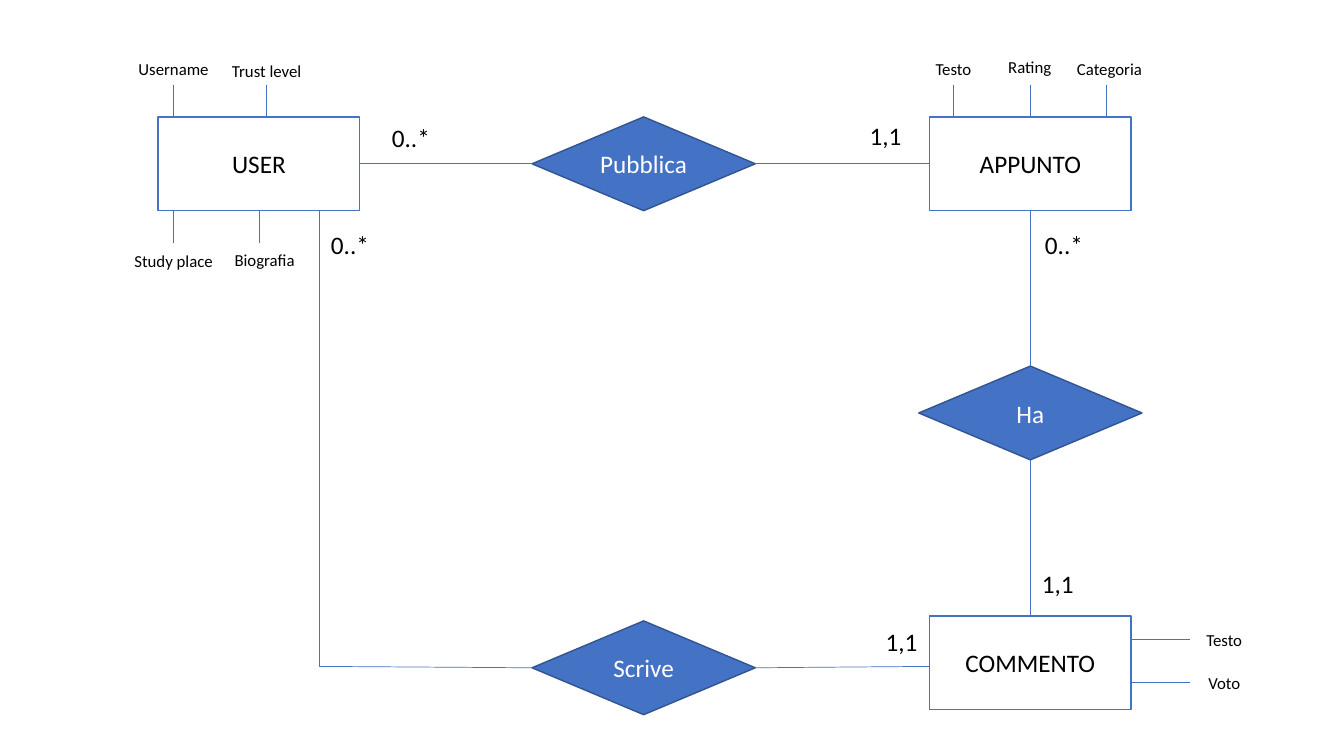
from lxml import etree
from pptx import Presentation
from pptx.dml.color import RGBColor
from pptx.enum import shapes, text
from pptx.oxml import ns
from pptx.util import Pt

BLUE, DARK_BLUE, WHITE, BLACK = "4472C4", "325491", "FFFFFF", "000000"
TOP, RIGHT, BOTTOM, LEFT = 0, 3, 2, 1


def colour(value):
    return RGBColor.from_string(value)


class Diagram:
    """Holds the style and the current slide of an entity-relationship diagram."""

    font = "Calibri"
    height = 67
    tick = 23

    def __init__(self, slide):
        self.slide = slide

    def set_text(self, shape, words, size, ink):
        frame = shape.text_frame
        frame.text = words
        frame.vertical_anchor = text.MSO_ANCHOR.MIDDLE
        frame.margin_left = frame.margin_right = 0
        frame.margin_top = frame.margin_bottom = 0
        frame.word_wrap = True
        paragraph = frame.paragraphs[0]
        paragraph.alignment = text.PP_ALIGN.CENTER
        paragraph.font.name = self.font
        paragraph.font.size = Pt(size)
        paragraph.font.color.rgb = colour(ink)

    def node(self, kind, words, left, top, width, fill, line, ink):
        shape = self.slide.shapes.add_shape(
            kind, Pt(left), Pt(top), Pt(width), Pt(self.height))
        shape.shadow.inherit = False
        shape.fill.solid()
        shape.fill.fore_color.rgb = colour(fill)
        shape.line.color.rgb = colour(line)
        shape.line.width = Pt(1)
        self.set_text(shape, words, 18, ink)
        return shape

    def entity(self, words, left, top):
        return self.node(shapes.MSO_SHAPE.RECTANGLE, words, left, top, 144,
                         WHITE, BLUE, BLACK)

    def relation(self, words, left, top):
        return self.node(shapes.MSO_SHAPE.FLOWCHART_DECISION, words, left, top, 159.5,
                         BLUE, DARK_BLUE, WHITE)

    def label(self, words, x, y, size=18, width=48, height=29):
        box = self.slide.shapes.add_textbox(
            Pt(x - width / 2), Pt(y - height / 2), Pt(width), Pt(height))
        self.set_text(box, words, size, BLACK)

    def line(self, x1=0, y1=0, x2=0, y2=0, begin=None, end=None):
        connector = self.slide.shapes.add_connector(
            shapes.MSO_CONNECTOR.STRAIGHT, Pt(x1), Pt(y1), Pt(x2), Pt(y2))
        if begin:
            connector.begin_connect(*begin)
        if end:
            connector.end_connect(*end)
        connector.line.color.rgb = colour(BLUE)
        connector.line.width = Pt(0.5)
        etree.SubElement(connector._element.spPr, ns.qn("a:effectLst"))

    def attribute(self, words, x, y, start, end):
        self.line(*start, *end)
        self.label(words, x, y, size=12, width=74, height=22)


def main():
    presentation = Presentation()
    presentation.slide_width, presentation.slide_height = Pt(960), Pt(540)
    diagram = Diagram(presentation.slides.add_slide(presentation.slide_layouts[6]))

    # Entities and relations
    top = 83.5
    bottom = top + diagram.height
    user = diagram.entity("USER", 113, top)
    note = diagram.entity("APPUNTO", 664, top)
    comment = diagram.entity("COMMENTO", 664, 440)
    publishes = diagram.relation("Pubblica", 380, top)
    has = diagram.relation("Ha", 656.25, 261.5)
    writes = diagram.relation("Scrive", 380, 443.5)

    # Links between them
    for begin, end in [
        ((user, RIGHT), (publishes, LEFT)),
        ((publishes, RIGHT), (note, LEFT)),
        ((note, BOTTOM), (has, TOP)),
        ((has, BOTTOM), (comment, TOP)),
    ]:
        diagram.line(begin=begin, end=end)
    diagram.line(x2=664, y2=476, begin=(writes, RIGHT))
    diagram.line(228, bottom, 228, 476)
    diagram.line(228, 476, end=(writes, LEFT))

    # Cardinalities
    for words, x, y in [
        ("0..*", 293.5, 98), ("1,1", 632.5, 97), ("0..*", 760, 174.5),
        ("1,1", 755.5, 416.5), ("0..*", 250, 174.5), ("1,1", 644, 458.5),
    ]:
        diagram.label(words, x, y)

    # Attributes above, below and to the right of their entity
    for words, x, y, tick_x in [
        ("Username", 124, 49.5, 124), ("Trust level", 190.5, 50.5, 190),
        ("Testo", 681, 49, 681), ("Rating", 735.5, 48, 736),
        ("Categoria", 792.5, 49, 790),
    ]:
        diagram.attribute(words, x, y, (tick_x, top), (tick_x, top - diagram.tick))
    for words, x, y, tick_x in [
        ("Study place", 124, 186.5, 124), ("Biografia", 189, 185.5, 185),
    ]:
        diagram.attribute(words, x, y, (tick_x, bottom), (tick_x, bottom + diagram.tick))
    for words, y in [("Testo", 457), ("Voto", 487.5)]:
        diagram.attribute(words, 874.5, y, (808, y), (850, y))

    presentation.save("out.pptx")


if __name__ == "__main__":
    main()
